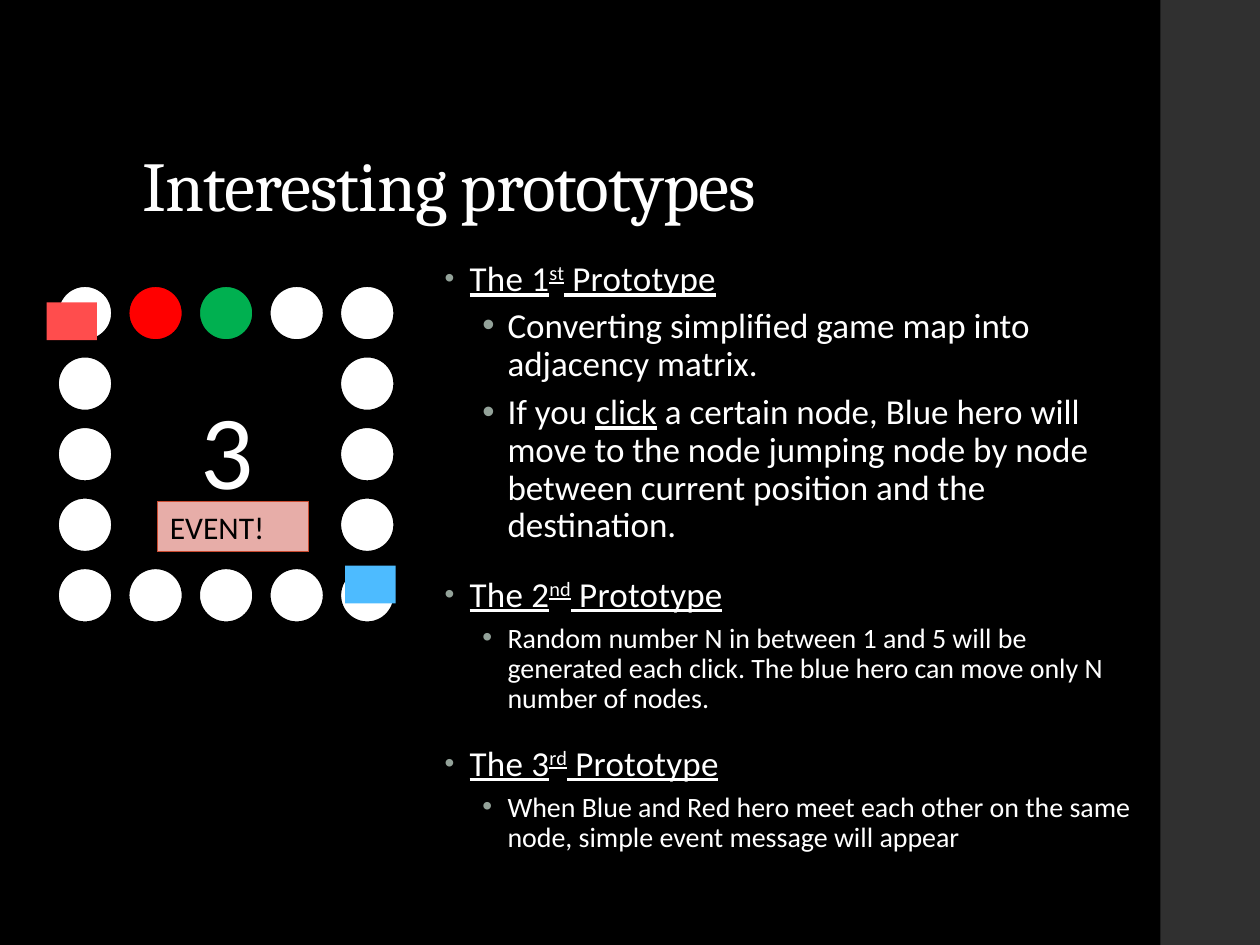
import pptx
import pptx.util
import pptx.dml.color
import pptx.enum.shapes
import pptx.enum.text
import pptx.oxml
import pptx.oxml.ns
from pptx.util import Inches

COLORS = {
    "background": "000000",
    "side_bar": "303030",
    "white": "FFFFFF",
    "black": "000000",
    "bullet": "93A299",
    "red_node": "FF0000",
    "green_node": "00B050",
    "red_hero": "FF4D4D",
    "blue_hero": "4DBBFF",
    "event_fill": "E7ADA8",
    "event_line": "CB4B30",
}
SHAPES = pptx.enum.shapes.MSO_SHAPE
ANCHORS = pptx.enum.text.MSO_ANCHOR

# Ring of map nodes
NODES_PER_SIDE = 5
NODE_SIZE = 0.43
NODE_LEFT, NODE_TOP = 0.46, 2.27
NODE_STEP = 0.56
NODE_COLORS = {(1, 0): "red_node", (2, 0): "green_node"}

# Each section: ordinal number, its suffix, size of the points, points as runs
SECTIONS = [
    ("1", "st", 20, [
        [("Converting simplified game map into adjacency matrix.", False)],
        [("If you ", False), ("click", True),
         (" a certain node, Blue hero will move to the node jumping node by "
          "node between current position and the destination.", False)],
    ]),
    ("2", "nd", 16, [
        [("Random number N in between 1 and 5 will be generated each click. "
          "The blue hero can move only N number of nodes.", False)],
    ]),
    ("3", "rd", 16, [
        [("When Blue and Red hero meet each other on the same node, simple "
          "event message will appear", False)],
    ]),
]


def rgb(name):
    return pptx.dml.color.RGBColor.from_string(COLORS[name])


def add_shape(slide, kind, box, fill, line=None, line_width=1.1):
    shape = slide.shapes.add_shape(kind, *map(Inches, box))
    shape.shadow.inherit = False
    shape.fill.solid()
    shape.fill.fore_color.rgb = rgb(fill)
    if line:
        shape.line.color.rgb = rgb(line)
        shape.line.width = pptx.util.Pt(line_width)
    else:
        shape.line.fill.background()
    return shape


def add_text_box(slide, box, wrap=True, anchor=ANCHORS.TOP):
    frame = slide.shapes.add_textbox(*map(Inches, box)).text_frame
    frame.word_wrap = wrap
    frame.vertical_anchor = anchor
    return frame


def add_run(paragraph, text, size, color="white", font="Calibri",
            underline=False, spacing=0, baseline=0):
    run = paragraph.add_run()
    run.text = text
    run.font.size = pptx.util.Pt(size)
    run.font.name = font
    run.font.color.rgb = rgb(color)
    run.font.underline = underline
    properties = run.font._element
    if spacing:
        properties.set("spc", str(spacing))
    if baseline:
        properties.set("baseline", str(baseline))


def set_bullet(paragraph, margin, size_percent):
    properties = paragraph._p.get_or_add_pPr()
    properties.set("marL", str(Inches(margin)))
    properties.set("indent", str(Inches(-0.2)))
    namespace = pptx.oxml.ns.nsdecls("a")
    for xml in (
        f'<a:buClr {namespace}><a:srgbClr val="{COLORS["bullet"]}"/></a:buClr>',
        f'<a:buSzPct {namespace} val="{size_percent * 1000}"/>',
        f'<a:buFont {namespace} typeface="Arial"/>',
        f'<a:buChar {namespace} char="•"/>',
    ):
        properties.append(pptx.oxml.parse_xml(xml))


def add_bullet_paragraph(frame, level, before, after, line_spacing):
    first = not frame.paragraphs[0].runs
    paragraph = frame.paragraphs[0] if first else frame.add_paragraph()
    set_bullet(paragraph, (0.2, 0.5)[level], (80, 100)[level])
    paragraph.level = level
    paragraph.line_spacing = line_spacing
    paragraph.space_before = pptx.util.Pt(0 if first else before)
    paragraph.space_after = pptx.util.Pt(after)
    return paragraph


def add_title(slide):
    frame = add_text_box(slide, (1.03, 0.4, 7.95, 1.45), anchor=ANCHORS.BOTTOM)
    paragraph = frame.paragraphs[0]
    paragraph.line_spacing = 0.9
    add_run(paragraph, "Interesting prototypes", 40, font="Cambria", spacing=-50)


def add_sections(slide):
    frame = add_text_box(slide, (3.43, 2.01, 5.67, 4.76))
    for number, suffix, size, points in SECTIONS:
        heading = add_bullet_paragraph(frame, 0, 14, 2, 0.95)
        for text, baseline in ((f"The {number}", 0), (suffix, 30000),
                               (" Prototype", 0)):
            add_run(heading, text, 20, underline=True, spacing=10,
                    baseline=baseline)
        for runs in points:
            point = add_bullet_paragraph(frame, 1, 3, 3, 0.9)
            for text, underline in runs:
                add_run(point, text, size, underline=underline)


def add_game_map(slide):
    # Nodes along the edge of the square
    last = NODES_PER_SIDE - 1
    for row in range(NODES_PER_SIDE):
        for column in range(NODES_PER_SIDE):
            if row in (0, last) or column in (0, last):
                box = (NODE_LEFT + column * NODE_STEP,
                       NODE_TOP + row * NODE_STEP, NODE_SIZE, NODE_SIZE)
                fill = NODE_COLORS.get((column, row), "white")
                add_shape(slide, SHAPES.OVAL, box, fill, "black")

    # Heroes
    add_shape(slide, SHAPES.RECTANGLE, (0.37, 2.4, 0.4, 0.3), "red_hero")
    add_shape(slide, SHAPES.RECTANGLE, (2.74, 4.49, 0.4, 0.3), "blue_hero")

    # Random number
    number = add_text_box(slide, (1.49, 3, 0.67, 1.11), wrap=False)
    add_run(number.paragraphs[0], "3", 60)

    # Event message
    event = add_shape(slide, SHAPES.RECTANGLE, (1.25, 3.98, 1.2, 0.4),
                      "event_fill", "event_line", 0.75)
    frame = event.text_frame
    frame.word_wrap = False
    frame.vertical_anchor = ANCHORS.TOP
    frame.paragraphs[0].alignment = pptx.enum.text.PP_ALIGN.LEFT
    add_run(frame.paragraphs[0], "EVENT!", 18, "black")


def main():
    presentation = pptx.Presentation()
    presentation.slide_width = Inches(10)
    presentation.slide_height = Inches(7.5)
    slide = presentation.slides.add_slide(presentation.slide_layouts[6])
    slide.background.fill.solid()
    slide.background.fill.fore_color.rgb = rgb("background")

    add_shape(slide, SHAPES.RECTANGLE, (9.21, 0, 0.8, 7.5), "side_bar")
    add_title(slide)
    add_sections(slide)
    add_game_map(slide)
    presentation.save("out.pptx")


if __name__ == "__main__":
    main()
